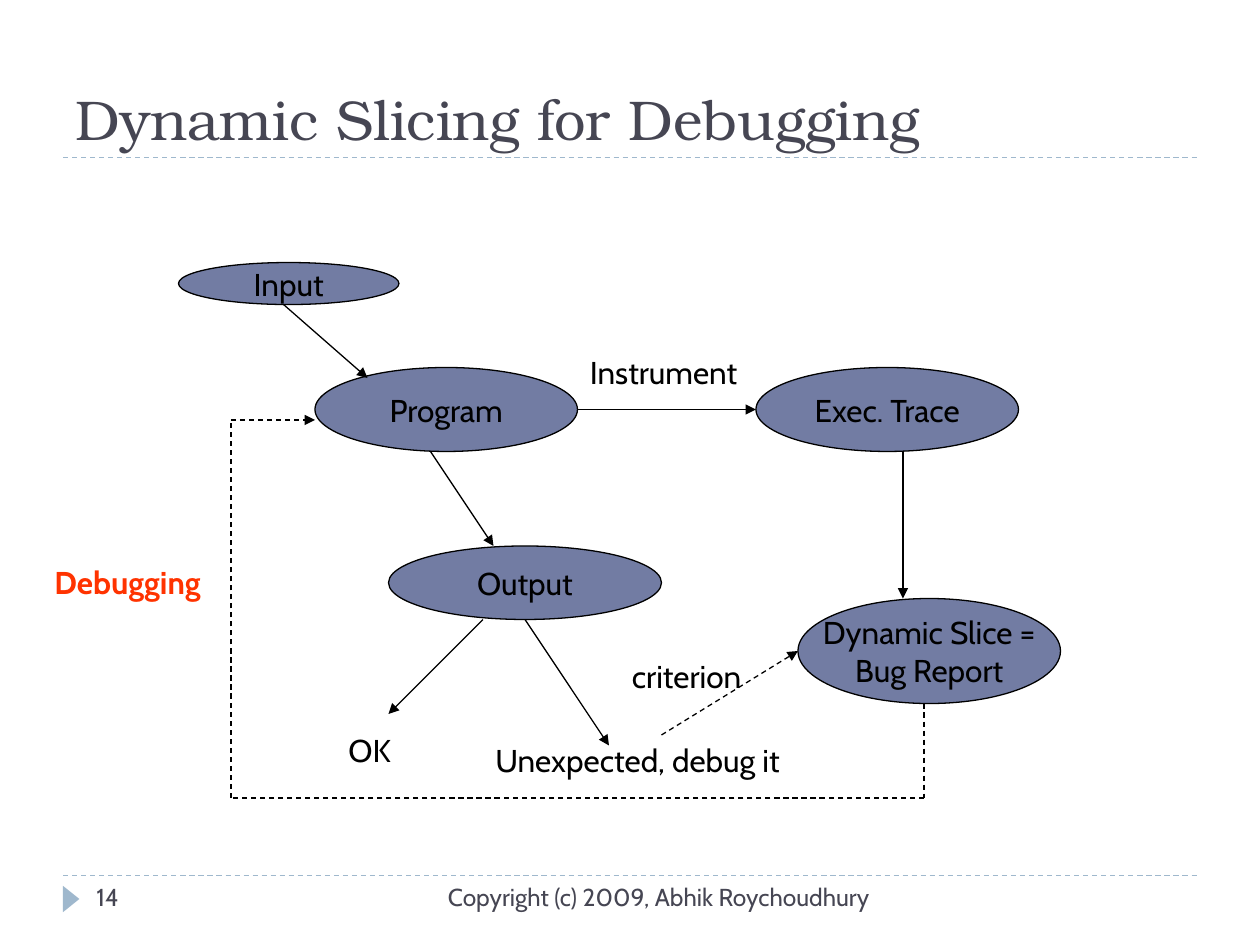
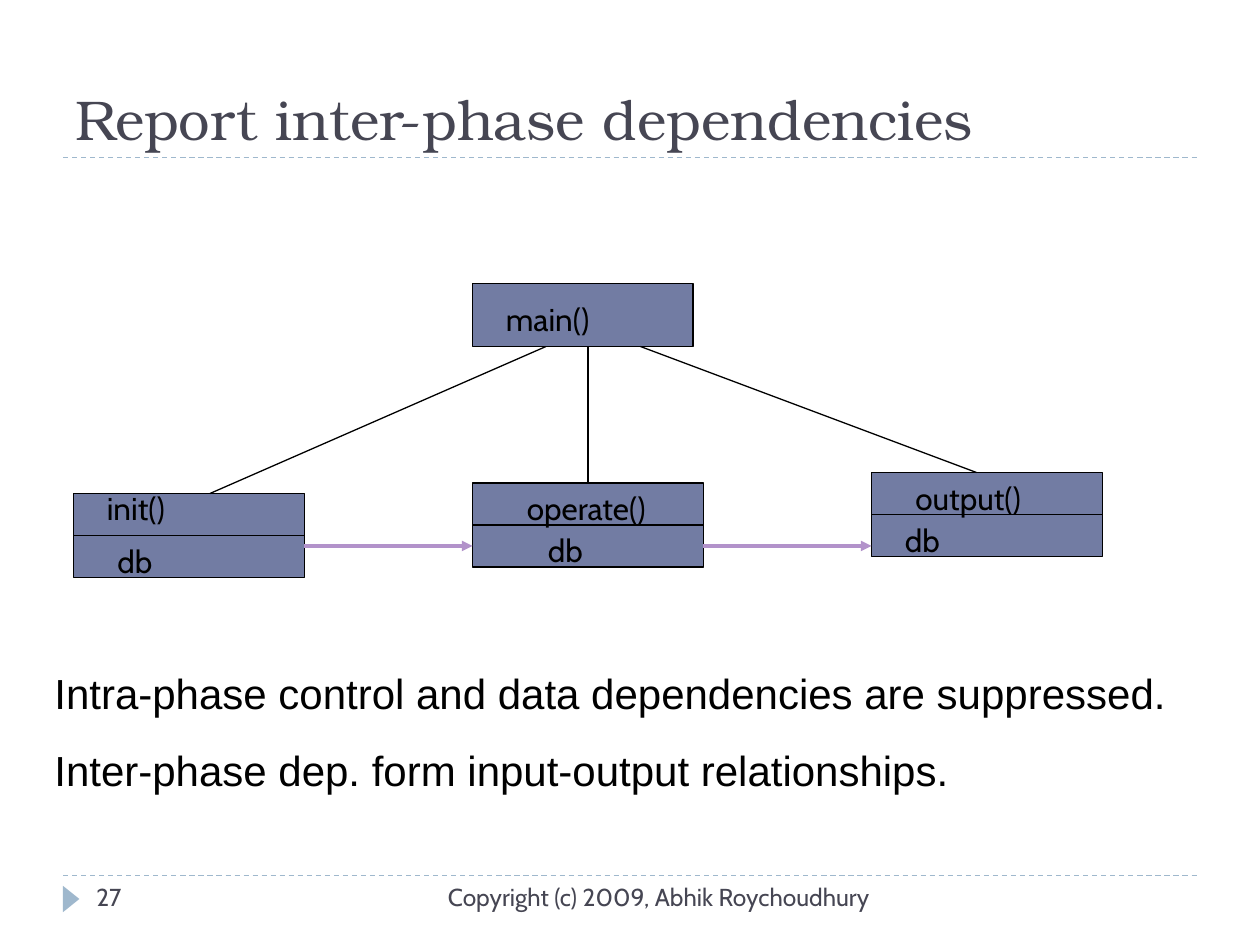
from itertools import pairwise

from lxml import etree
from pptx import Presentation
from pptx.dml import color
from pptx.enum import dml, shapes, text
from pptx.oxml import ns
from pptx.util import Pt

INK, BLACK, PALE = "464653", "000000", "9FB8CD"
FILL, RED, MAUVE = "727CA3", "FF3300", "B292CA"
BODY, SERIF = "Cabin", "TeX Gyre Bonum"
LEFT, MID, RIGHT = text.PP_ALIGN.LEFT, text.PP_ALIGN.CENTER, text.PP_ALIGN.RIGHT
KIND = shapes.MSO_SHAPE
ANCHOR = text.MSO_ANCHOR


def rgb(code):
    return color.RGBColor.from_string(code)


def write(frame, words, size=18, font=BODY, ink=BLACK, bold=False,
          align=LEFT, gap=0):
    for i, line in enumerate(words.split("\n")):
        para = frame.add_paragraph() if i else frame.paragraphs[0]
        para.text = line
        para.alignment = align
        if i:
            para.space_before = Pt(gap)
        para.font.size = Pt(size)
        para.font.name = font
        para.font.bold = bold
        para.font.color.rgb = rgb(ink)


def label(page, words, x, y, w, h=28.8, anchor=ANCHOR.TOP, **style):
    frame = page.shapes.add_textbox(Pt(x), Pt(y), Pt(w), Pt(h)).text_frame
    frame.word_wrap = True
    frame.vertical_anchor = anchor
    write(frame, words, **style)


def block(page, kind, x, y, w, h, fill=FILL, edge=BLACK):
    shape = page.shapes.add_shape(kind, Pt(x), Pt(y), Pt(w), Pt(h))
    shape.shadow.inherit = False
    shape.fill.solid()
    shape.fill.fore_color.rgb = rgb(fill)
    if edge:
        shape.line.color.rgb = rgb(edge)
        shape.line.width = Pt(0.75)
    else:
        shape.line.fill.background()
    return shape


def link(page, start, end, ink=BLACK, width=0.75, dash=False, head=False):
    line = page.shapes.add_connector(
        shapes.MSO_CONNECTOR.STRAIGHT, *map(Pt, (*start, *end)))
    line.line.color.rgb = rgb(ink)
    line.line.width = Pt(width)
    if dash:
        line.line.dash_style = dml.MSO_LINE.DASH
    if head:
        tail = etree.SubElement(line.line._get_or_add_ln(), ns.qn("a:tailEnd"))
        tail.set("type", "triangle")
    etree.SubElement(line._element.spPr, ns.qn("a:effectLst"))


def base(deck, title, number):
    page = deck.slides.add_slide(deck.slide_layouts[6])
    for y in (500.4, 90):
        link(page, (36, y), (684, y), PALE, dash=True)
    mark = block(page, KIND.ISOSCELES_TRIANGLE, 33.1, 509, 15.1, 9.4, PALE, None)
    mark.rotation = 90
    label(page, title, 36, 12.2, 648, 77.8, ANCHOR.BOTTOM,
          size=32, font=SERIF, ink=INK)
    label(page, "Copyright (c) 2009, Abhik Roychoudhury", 228, 500.4, 276,
          size=14, ink=INK, align=RIGHT)
    label(page, number, 48, 500.4, 156, size=14, ink=INK)
    return page


def flow(page, left, top):
    def at(x, y):
        return left + x, top + y

    nodes = [
        ("Input", 78, 0, 126, 24),
        ("Program", 156, 60, 150, 48),
        ("Exec. Trace", 408, 60, 150, 48),
        ("Output", 198, 162, 156, 42),
        ("Dynamic Slice =\nBug Report", 432, 192, 150, 60),
    ]
    for words, x, y, w, h in nodes:
        frame = block(page, KIND.OVAL, *at(x, y), w, h).text_frame
        frame.word_wrap = False
        frame.vertical_anchor = ANCHOR.MIDDLE
        write(frame, words, align=MID)

    steps = [
        ((138, 24), (186, 66)),
        ((306, 84), (408, 84)),
        ((222, 108), (258, 162)),
        ((252, 204), (198, 258)),
        ((276, 204), (324, 276)),
        ((492, 108), (492, 192)),
    ]
    for start, end in steps:
        link(page, at(*start), at(*end), head=True)

    loop = [(504, 252), (504, 306), (108, 306), (108, 90), (156, 90)]
    for start, end in pairwise(loop):
        link(page, at(*start), at(*end), dash=True, head=end == loop[-1])
    link(page, at(354, 270), at(432, 222), dash=True, head=True)

    notes = [
        ("OK", 168, 264, 54),
        ("Unexpected, debug it", 252, 270, 210),
        ("criterion", 330, 222, 96),
        ("Instrument", 306, 48, 108),
    ]
    for words, x, y, w in notes:
        label(page, words, *at(x, y), w)
    label(page, "Debugging", *at(0, 168), 138, ink=RED, bold=True)


def phase(page, name, x, y, name_at, db_at):
    block(page, KIND.RECTANGLE, x, y, 132, 48)
    link(page, (x, y + 24), (x + 132, y + 24))
    for words, (dx, dy) in ((name, name_at), ("db", db_at)):
        label(page, words, x + dx, y + dy, 102)


def tree(page, left, top):
    block(page, KIND.RECTANGLE, left + 228, top, 126, 36)
    label(page, "main()", left + 240, top + 6, 102)
    parts = [
        ("init()", (12, -6), (18, 24), 270, 78),
        ("operate()", (24, 0), (36, 24), 294, 294),
        ("output()", (18, 0), (12, 24), 324, 516),
    ]
    for i, (name, name_at, db_at, start, end) in enumerate(parts):
        x, y = left + 228 * i, top + 120 - 6 * i
        phase(page, name, x, y, name_at, db_at)
        link(page, (left + start, top + 36), (left + end, y))
        if i:
            link(page, (x - 96, top + 150), (x, top + 150), MAUVE, 2, head=True)


def main():
    deck = Presentation()
    deck.slide_width, deck.slide_height = Pt(720), Pt(540)
    flow(base(deck, "Dynamic Slicing for Debugging", "14"), 24, 150)
    page = base(deck, "Report inter-phase dependencies", "27")
    tree(page, 42, 162)
    label(page, "Intra-phase control and data dependencies are suppressed.\n"
          "Inter-phase dep. form input-output relationships.",
          24, 378, 696, 80, size=24, font="Arial", gap=15)
    deck.save("out.pptx")


if __name__ == "__main__":
    main()
